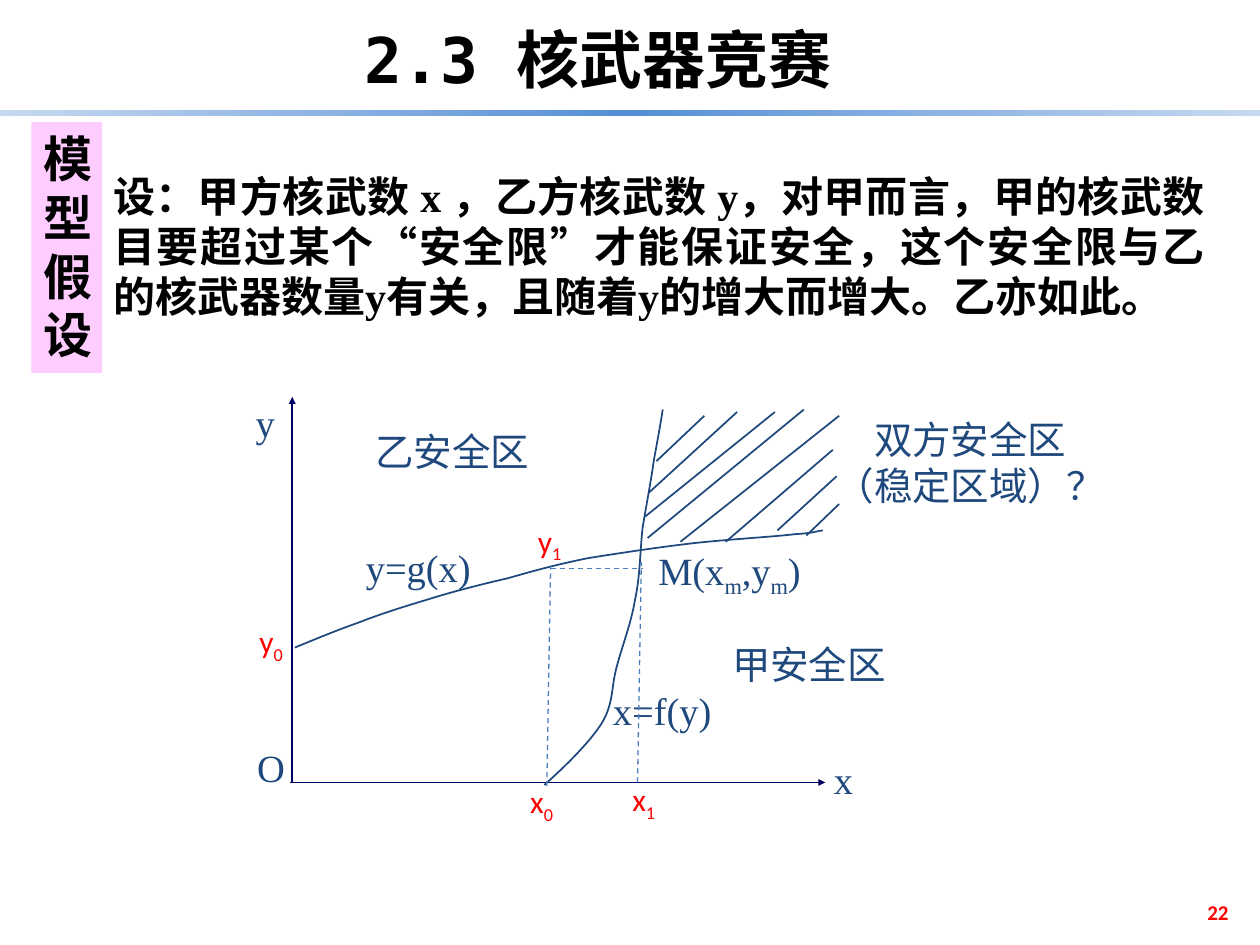
"""Build the nuclear arms race slide with its safety zone plot."""
from copy import deepcopy

from lxml.etree import SubElement
from pptx import Presentation
from pptx.dml.color import RGBColor
from pptx.enum.dml import MSO_LINE
from pptx.enum.shapes import MSO_CONNECTOR, MSO_SHAPE
from pptx.enum.text import MSO_ANCHOR, MSO_AUTO_SIZE, PP_ALIGN
from pptx.oxml.ns import qn
from pptx.util import Pt

UNIT = 9144
HUE = {
    "ink": "000000", "red": "FF0000", "navy": "1F497D", "axis": "000066",
    "dash": "4B7EBC", "pink": "FFCCFF", "pale": "C6D9F1", "mid": "8EB4E3",
    "deep": "558ED5",
}
ROMAN = "Times New Roman"
LEFT, MID, RIGHT, JUST = PP_ALIGN.LEFT, PP_ALIGN.CENTER, PP_ALIGN.RIGHT, PP_ALIGN.JUSTIFY


def write(shape, text, size, face, hue, align=LEFT, bold=False, wrap=True):
    frame = shape.text_frame
    frame.word_wrap = wrap
    frame.auto_size = MSO_AUTO_SIZE.SHAPE_TO_FIT_TEXT
    frame.vertical_anchor = MSO_ANCHOR.TOP
    for row, line in enumerate(text.split("\n")):
        para = frame.add_paragraph() if row else frame.paragraphs[0]
        para.alignment = align
        for nth, part in enumerate(line.split("_")):
            if not part:
                continue
            run = para.add_run()
            run.text = part
            font = run.font
            font.size, font.name, font.bold = Pt(size), face, bold
            font.color.rgb = RGBColor.from_string(HUE[hue])
            if nth % 2:
                font._element.set("baseline", "-25000")


def draw(home, ends, hue, width=1.0):
    line = home.add_connector(MSO_CONNECTOR.STRAIGHT, *[n * UNIT for n in ends])
    line.line.color.rgb = RGBColor.from_string(HUE[hue])
    line.line.width = Pt(width)
    SubElement(line._element.spPr, qn("a:effectLst"))
    return line


deck = Presentation()
deck.slide_width, deck.slide_height = 1000 * UNIT, 750 * UNIT
slide = deck.slides.add_slide(deck.slide_layouts[6])
shapes = slide.shapes

band = shapes.add_shape(MSO_SHAPE.RECTANGLE, 0, 87 * UNIT, 1000 * UNIT, 5 * UNIT)
band.shadow.inherit = False
band.line.fill.background()
band.fill.gradient()
band.fill.gradient_angle = 0
stops = band._element.spPr.find(".//" + qn("a:gsLst"))
for _ in range(3):
    stops.append(deepcopy(stops[0]))
for nth, hue in enumerate(["pale", "mid", "deep", "mid", "pale"]):
    stop = band.fill.gradient_stops[nth]
    stop.color.rgb = RGBColor.from_string(HUE[hue])
    stop.position = nth / 4

page = shapes.add_textbox(752 * UNIT, 704 * UNIT, 233 * UNIT, 40 * UNIT)
write(page, "22", 12, "Calibri", "red", RIGHT, True)
page.text_frame.auto_size = MSO_AUTO_SIZE.NONE
page.text_frame.vertical_anchor = MSO_ANCHOR.MIDDLE

title = shapes.add_textbox(81 * UNIT, 11 * UNIT, 787 * UNIT, 71 * UNIT)
write(title, "2.3 核武器竞赛", 36, "DejaVu Sans Mono", "ink", MID, True)

body = shapes.add_textbox(80 * UNIT, 130 * UNIT, 886 * UNIT, 131 * UNIT)
write(body, "设：甲方核武数 x ，乙方核武数 y，对甲而言，甲的核武数目要超过某个“安全限”"
      "才能保证安全，这个安全限与乙的核武器数量y有关，且随着y的增大而增大。乙亦如此。",
      24, ROMAN, "ink", JUST, True)

side = shapes.add_shape(MSO_SHAPE.RECTANGLE, 25 * UNIT, 97 * UNIT, 56 * UNIT, 199 * UNIT)
side.shadow.inherit = False
side.fill.solid()
side.fill.fore_color.rgb = RGBColor.from_string(HUE["pink"])
side.line.fill.background()
write(side, "模型假设", 28, ROMAN, "ink", LEFT, True)

plot = shapes.add_group_shape().shapes
for ends in [(230, 621, 655, 621), (232, 621, 232, 315)]:
    axis = draw(plot, ends, "axis")
    SubElement(axis.line._get_or_add_ln(), qn("a:tailEnd"), type="triangle", w="sm", len="sm")

curves = [
    [(234, 514), (251, 507), (268, 500), (285, 494), (303, 487), (319, 482), (339, 476),
     (358, 470), (381, 464), (403, 459), (424, 453), (442, 448), (467, 443),
     (492, 439), (525, 434), (552, 431), (580, 428), (615, 426), (631, 424),
     (648, 423), (650, 421), (653, 421)],
    [(432, 623), (450, 607), (467, 590), (477, 575), (487, 559), (485, 547), (489, 531),
     (493, 515), (501, 495), (504, 476), (508, 458), (508, 438), (510, 419),
     (513, 401), (517, 380), (519, 365), (522, 349), (525, 332), (526, 325)],
]
for knots in curves:
    pen = plot.build_freeform(*knots[0], scale=UNIT)
    pen.add_line_segments(knots[1:], close=False)
    curve = pen.convert_to_shape()
    curve.shadow.inherit = False
    curve.fill.background()
    curve.line.color.rgb = RGBColor.from_string(HUE["navy"])
    curve.line.width = Pt(1)
    trace = curve._element.spPr.find(".//" + qn("a:path"))
    for nth, leg in enumerate(trace.findall(qn("a:lnTo"))):
        if nth % 3 == 0:
            bend = SubElement(trace, qn("a:cubicBezTo"))
        bend.append(leg[0])
        trace.remove(leg)

for ends in [
    (559, 330, 521, 366), (585, 327, 515, 391), (615, 327, 512, 410), (638, 325, 514, 427),
    (666, 330, 540, 430), (661, 357, 576, 430), (664, 378, 617, 421), (666, 400, 640, 425),
]:
    draw(plot, ends, "navy")

for x, y, wide, high, text in [
    (194, 586, 42, 47, "O"), (193, 312, 35, 47, "y"), (652, 595, 35, 47, "x"),
    (280, 427, 104, 47, "y=g(x)"), (476, 540, 99, 47, "x=f(y)"),
    (288, 335, 142, 47, "乙安全区"), (653, 325, 234, 83, "双方安全区\n（稳定区域）？"),
    (510, 429, 138, 47, "M(x_m_,y_m_)"), (571, 504, 142, 47, "甲安全区"),
]:
    label = plot.add_textbox(x * UNIT, y * UNIT, wide * UNIT, high * UNIT)
    write(label, text, 22, ROMAN, "navy", MID, wrap=False)

for ends in [(434, 624, 437, 449), (437, 451, 510, 451), (506, 621, 509, 446)]:
    draw(shapes, ends, "dash", 0.75).line.dash_style = MSO_LINE.DASH

for x, y, text in [(411, 616, "x_0"), (417, 409, "y_1"), (492, 614, "x_1"), (196, 489, "y_0")]:
    mark = shapes.add_textbox(x * UNIT, y * UNIT, 40 * UNIT, 40 * UNIT)
    write(mark, text, 18, "Calibri", "red", wrap=False)

deck.save("out.pptx")
